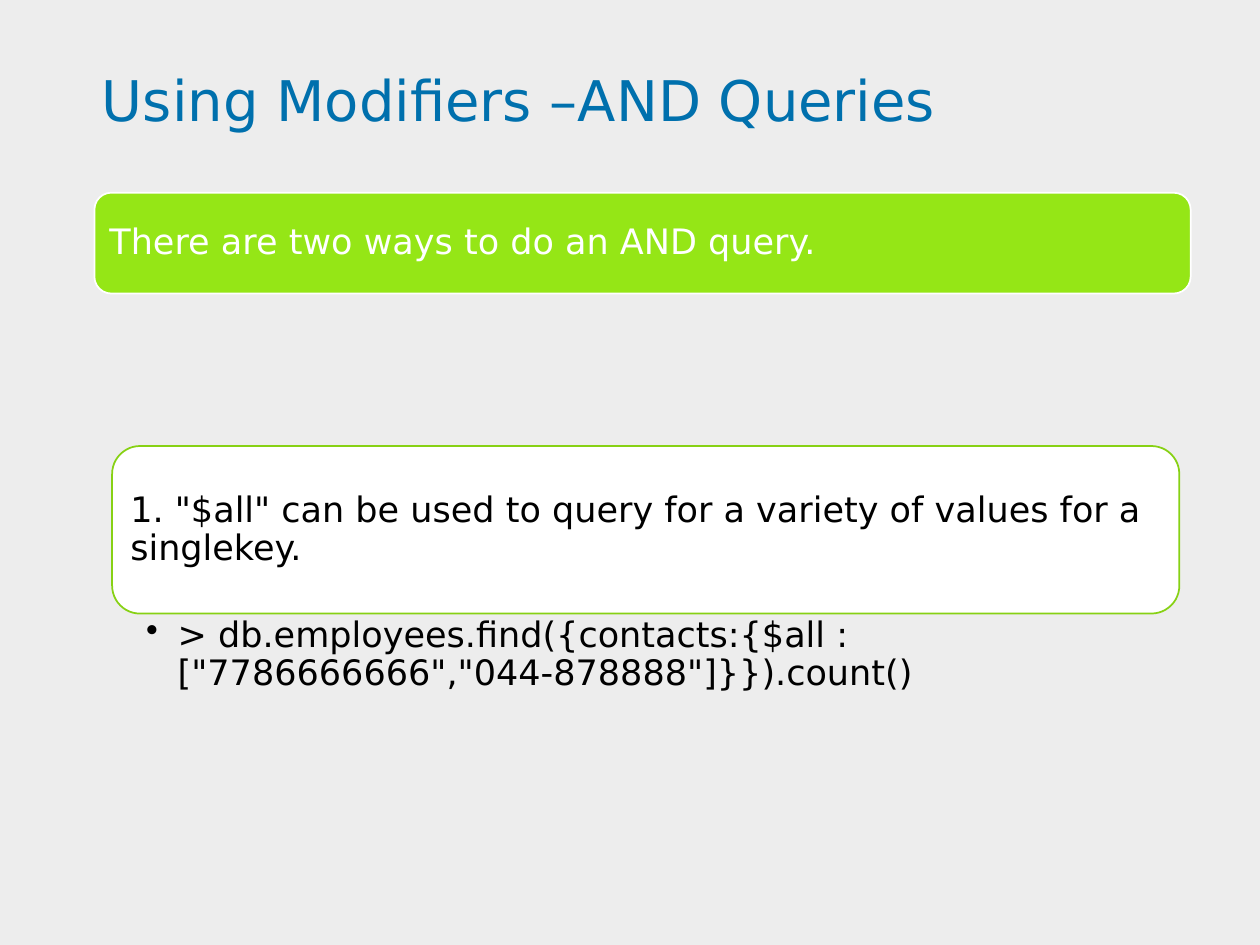
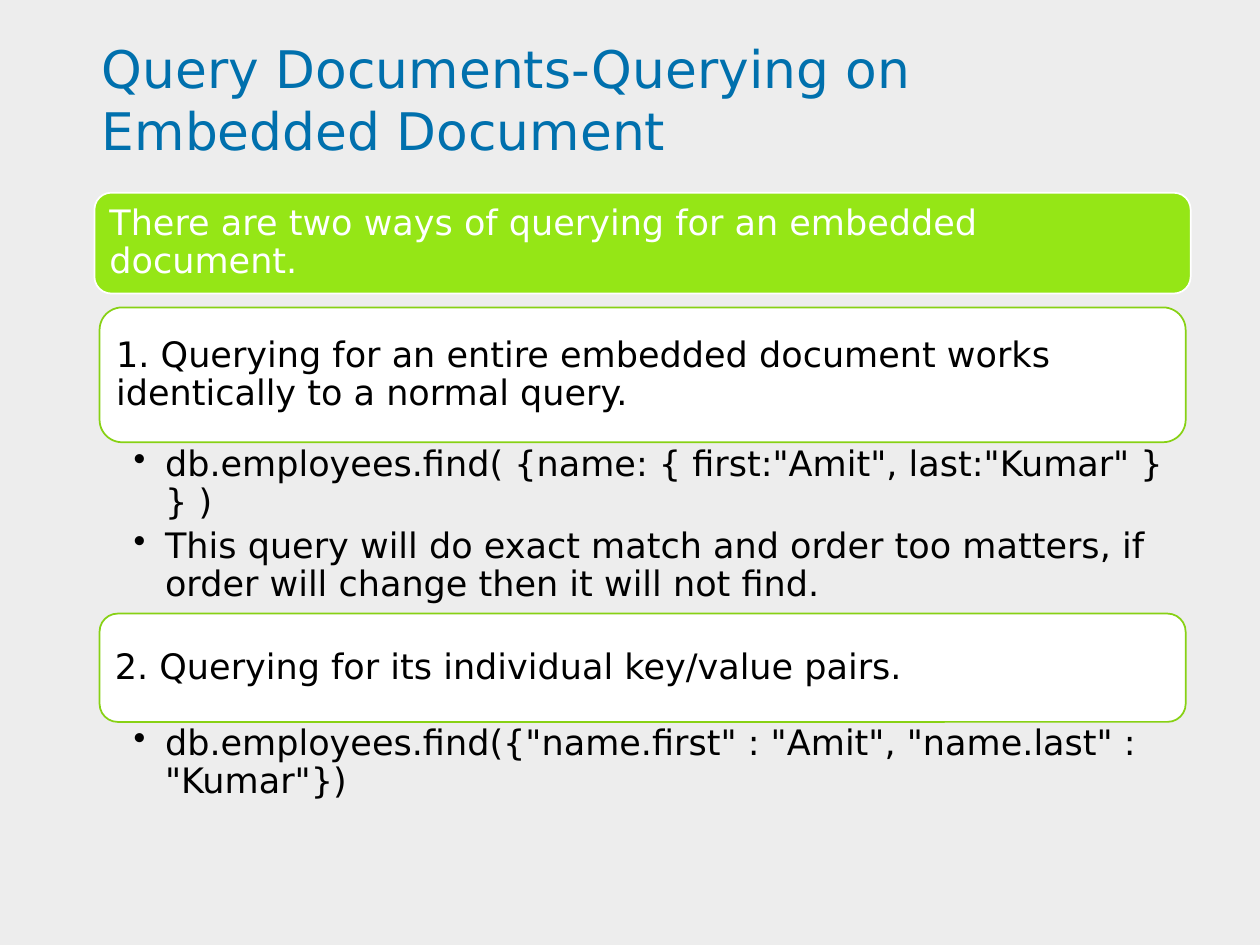
from dataclasses import dataclass

from pptx import Presentation
from pptx.dml.color import RGBColor
from pptx.enum.shapes import MSO_SHAPE as Shape
from pptx.enum.text import MSO_ANCHOR as Anchor, PP_ALIGN as Align
from pptx.oxml.ns import qn
from pptx.util import Inches, Pt
from lxml.etree import SubElement


@dataclass(frozen=True)
class Theme:
    """Colours and type sizes shared by the slides."""
    font: str = "DejaVu Sans"
    background: str = "EDEDED"
    title: str = "0070AD"
    band: str = "95E616"
    outline: str = "87D114"
    white: str = "FFFFFF"
    black: str = "000000"
    title_size: float = 32
    long_title_size: float = 29.6
    body_size: float = 20


THEME = Theme()
TITLE_BOX = (0.51, 0.29, 9, 0.99)
BAND_BOX = (0.75, 1.53, 8.7, 0.8)


def color(value):
    """Turn a hex value into a colour."""
    return RGBColor.from_string(value)


def fill_frame(frame, insets, anchor=Anchor.TOP):
    """Set the wrapping, insets and anchor of a text frame."""
    frame.word_wrap = True
    frame.vertical_anchor = anchor
    (frame.margin_left, frame.margin_top,
     frame.margin_right, frame.margin_bottom) = map(Inches, insets)


def style_paragraph(paragraph, text, size, text_color, line_spacing=0.9):
    """Write left-aligned text in the shared font."""
    paragraph.text = text
    paragraph.alignment = Align.LEFT
    paragraph.line_spacing = line_spacing
    paragraph.font.name = THEME.font
    paragraph.font.size = Pt(size)
    paragraph.font.color.rgb = color(text_color)


def add_bullet(paragraph):
    """Give a paragraph a hanging round bullet."""
    properties = paragraph._p.get_or_add_pPr()
    properties.set("marL", str(Inches(0.25)))
    properties.set("indent", str(-Inches(0.25)))
    SubElement(properties, qn("a:buChar")).set("char", "•")


def add_title(slide, box, text, size):
    """Add the slide title."""
    frame = slide.shapes.add_textbox(*map(Inches, box)).text_frame
    fill_frame(frame, (0.3, 0.03, 0.17, 0.03), Anchor.MIDDLE)
    style_paragraph(frame.paragraphs[0], text, size, THEME.title, 1.0)


def add_panel(slide, box, text, fill, line, text_color):
    """Add a rounded panel holding one statement."""
    panel = slide.shapes.add_shape(Shape.ROUNDED_RECTANGLE, *map(Inches, box))
    panel.shadow.inherit = False
    panel.fill.solid()
    panel.fill.fore_color.rgb = color(fill)
    panel.line.color.rgb = color(line)
    panel.line.width = Pt(1)
    fill_frame(panel.text_frame, (0.08,) * 4, Anchor.MIDDLE)
    style_paragraph(panel.text_frame.paragraphs[0], text, THEME.body_size, text_color)


def add_bullets(slide, box, lines):
    """Add the bulleted examples below a panel."""
    frame = slide.shapes.add_textbox(*map(Inches, box)).text_frame
    fill_frame(frame, (0.27, 0.03, 0.16, 0.03))
    for index, line in enumerate(lines):
        paragraph = frame.add_paragraph() if index else frame.paragraphs[0]
        paragraph.space_after = Pt(4)
        add_bullet(paragraph)
        style_paragraph(paragraph, line, THEME.body_size, THEME.black)


def add_ways(slide, left, top, width, ways):
    """Stack each way's panel and its examples down the slide."""
    for statement, panel_height, examples, examples_height in ways:
        add_panel(slide, (left, top, width, panel_height), statement,
                  THEME.white, THEME.outline, THEME.black)
        top += panel_height
        add_bullets(slide, (left, top, width, examples_height), examples)
        top += examples_height


def add_query_slide(presentation, title, title_size, summary, stack, ways):
    """Build a slide with a title, a summary band and the ways to query."""
    slide = presentation.slides.add_slide(presentation.slide_layouts[6])
    add_title(slide, TITLE_BOX, title, title_size)
    add_ways(slide, *stack, ways)
    add_panel(slide, BAND_BOX, summary, THEME.band, THEME.white, THEME.white)


def main():
    """Build and save the presentation."""
    presentation = Presentation()
    presentation.slide_width = Inches(10)
    presentation.slide_height = Inches(7.5)
    background = presentation.slide_master.background.fill
    background.solid()
    background.fore_color.rgb = color(THEME.background)

    add_query_slide(
        presentation, "Using Modifiers –AND Queries", THEME.title_size,
        "There are two ways to do an AND query.", (0.89, 3.54, 8.47),
        [('1. "$all" can be used to query for a variety of values for a singlekey.', 1.33,
          ['> db.employees.find({contacts:{$all : ["7786666666","044-878888"]}}).count()'],
          1.18)])
    add_query_slide(
        presentation, "Query Documents-Querying on Embedded Document", THEME.long_title_size,
        "There are two ways of querying for an embedded document.", (0.79, 2.44, 8.62),
        [("1. Querying for an entire embedded document works identically to a normal query.",
          1.07,
          ['db.employees.find( {name: { first:"Amit", last:"Kumar" } } )',
           "This query will do exact match and order too matters, "
           "if order will change then it will not find."], 1.36),
         ("2. Querying for its individual key/value pairs.", 0.86,
          ['db.employees.find({"name.first" : "Amit", "name.last" : "Kumar"})'], 1.14)])
    presentation.save("out.pptx")


if __name__ == "__main__":
    main()
